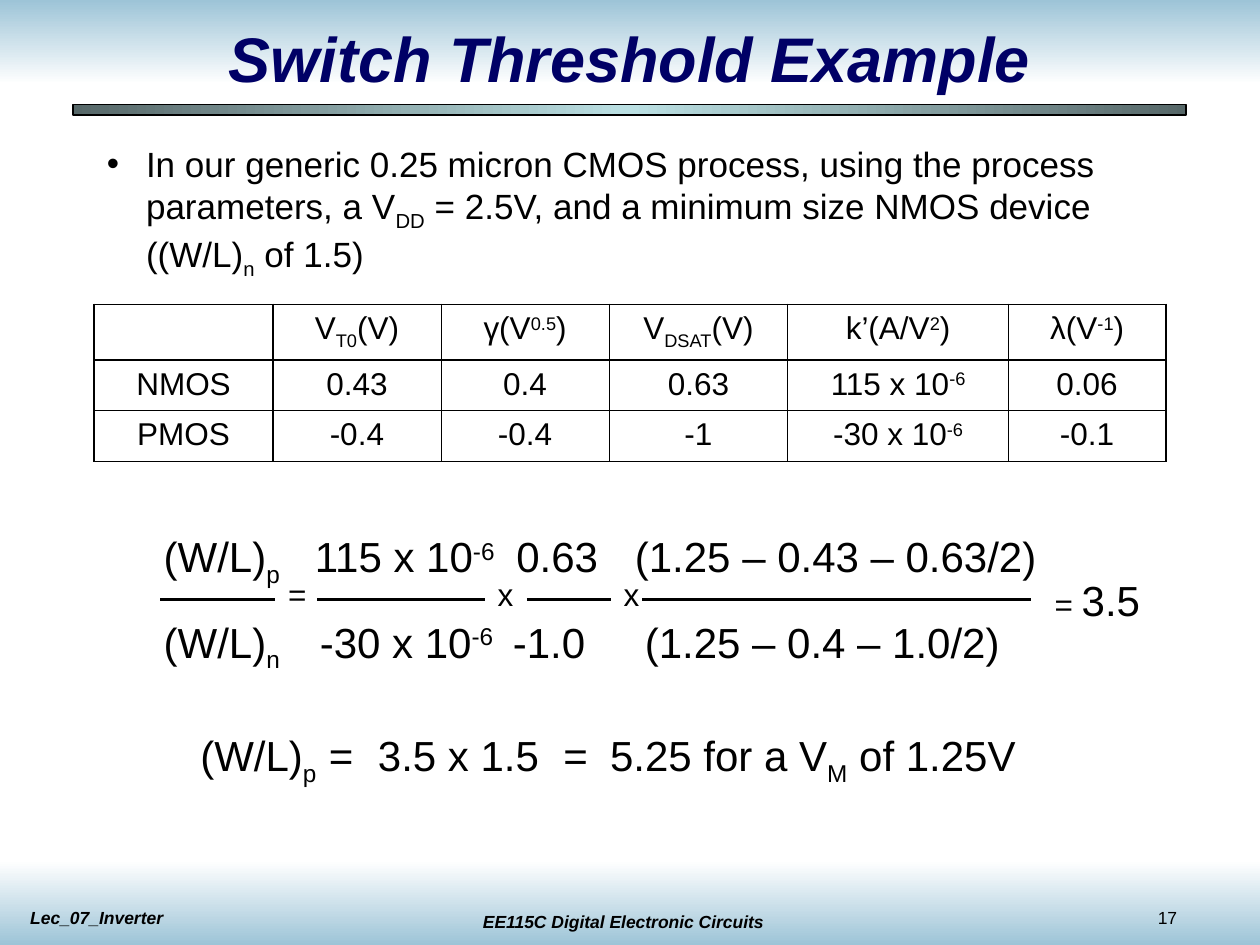
from dataclasses import dataclass
from lxml.etree import SubElement as Sub
from pptx import Presentation as Deck
from pptx.dml.color import RGBColor as Rgb
from pptx.enum.shapes import MSO_CONNECTOR as Link, MSO_SHAPE as Form
from pptx.enum.text import MSO_ANCHOR as Anchor, MSO_AUTO_SIZE as Fit, PP_ALIGN as Align
from pptx.oxml.ns import qn
from pptx.util import Cm, Pt


@dataclass(frozen=True)
class Theme:
    font: str = "Arial"
    ink: str = "000000"
    navy: str = "000066"
    sky: str = "9DC4D7"
    white: str = "FFFFFF"
    slate: str = "566768"
    aqua: str = "BBE0E3"
    head: int = 36
    math: int = 24
    body: int = 20
    cell: int = 18
    foot: int = 10
    thick: float = 1.08
    thin: float = 0.45


T = Theme()

# Runs that open with _ are set low, runs that open with ^ are set high.
TITLE = ["Switch Threshold Example"]
BODY = ["In our generic 0.25 micron CMOS process, using the process parameters, a V",
        "_DD", " = 2.5V, and a minimum size NMOS device ((W/L)", "_n", " of 1.5)"]
TABLE = [
    [[], ["V", "_T0", "(V)"], ["γ(V", "^0.5", ")"], ["V", "_DSAT", "(V)"],
     ["k’(A/V", "^2", ")"], ["λ(V", "^-1", ")"]],
    [["NMOS"], ["0.43"], ["0.4"], ["0.63"], ["115 x 10", "^-6"], ["0.06"]],
    [["PMOS"], ["-0.4"], ["-0.4"], ["-1"], ["-30 x 10", "^-6"], ["-0.1"]],
]
COLS = [3.6, 3.39, 3.39, 3.6, 4.45, 3.17]
ROWS = [1.12, 1.02, 1.02]
RATIO = [
    (["(W/L)", "_p", "\t115 x 10", "^-6", "\t0.63\t(1.25 – 0.43 – 0.63/2)"], [3.05, 7.11, 9.5]),
    (["(W/L)", "_n", "\t-30 x 10", "^-6", "\t-1.0\t(1.25 – 0.4 – 1.0/2)"], [3.15, 7.04, 9.7]),
]
BARS = [(3.23, 5.54), (6.4, 9.78), (10.62, 12.32), (12.95, 20.78)]
BAR_TOP = 12.09
SIGNS = [("=", 5.56), ("x", 9.78), ("x", 12.32)]
RESULT = ["(W/L)", "_p", "\t=\t3.5 x 1.5\t=\t5.25 for a V", "_M", " of 1.25V"]
STOPS = [2.59, 3.58, 7.32, 8.26]
FEET = [("EE115C Digital Electronic Circuits", (8.97, 18.24, 7.19, 0.69), Align.CENTER, True),
        ("17", (23.09, 18.16, 2.1, 0.69), Align.LEFT, False),
        ("Lec_07_Inverter", (0.36, 18.16, 7.19, 0.69), Align.LEFT, True)]
BANDS = [((0, 0, 25.4, 1.7), (T.sky, T.white), 270, False),
         ((0, 17.35, 25.4, 1.7), (T.white, T.sky), 270, False),
         ((1.47, 2.11, 22.44, 0.21), (T.slate, T.aqua, T.slate), 0, True)]
MARKS = {"_": "-25000", "^": "30000"}


def write(para, runs, size, tone=T.ink, bold=False, align=Align.LEFT):
    para.alignment = align
    para.space_before = Pt(0)
    for text in runs:
        shift = MARKS.get(text[0])
        run = para.add_run()
        run.text = text[1:] if shift else text
        font = run.font
        font.name, font.size = T.font, Pt(size)
        font.bold = font.italic = bold
        font.color.rgb = Rgb.from_string(tone)
        if shift:
            run._r.get_or_add_rPr().set("baseline", shift)


def set_tabs(para, stops):
    tabs = Sub(para._p.get_or_add_pPr(), qn("a:tabLst"))
    for stop in stops:
        Sub(tabs, qn("a:tab"), pos=str(Cm(stop)), algn="l")


def add_box(slide, place):
    frame = slide.shapes.add_textbox(*map(Cm, place)).text_frame
    frame.word_wrap = True
    return frame


def add_band(slide, place, tones, angle, edge):
    band = slide.shapes.add_shape(Form.RECTANGLE, *map(Cm, place))
    band.shadow.inherit = False
    band.fill.gradient()
    band.fill.gradient_angle = angle
    stops = band.element.spPr.find(qn("a:gradFill")).find(qn("a:gsLst"))
    for old in list(stops):
        stops.remove(old)
    for i, tone in enumerate(tones):
        stop = Sub(stops, qn("a:gs"), pos=str(100000 * i // (len(tones) - 1)))
        Sub(stop, qn("a:srgbClr"), val=tone)
    if edge:
        band.line.color.rgb = Rgb.from_string(T.ink)
        band.line.width = Pt(0.75)
    else:
        band.line.fill.background()


def fill_holder(shape, place):
    shape.left, shape.top, shape.width, shape.height = map(Cm, place)
    shape.element.getparent().append(shape.element)
    shape.text_frame.auto_size = Fit.NONE
    return shape.text_frame


def rule_cell(cell, row, col):
    last = len(ROWS) - 1, len(COLS) - 1
    heavy = {"L": col < 2, "R": col in (0, last[1]), "T": row < 2, "B": row in (0, last[0])}
    props = cell._tc.get_or_add_tcPr()
    for side, thick in heavy.items():
        line = Sub(props, qn("a:ln" + side), w=str(Pt(T.thick if thick else T.thin)))
        Sub(Sub(line, qn("a:solidFill")), qn("a:srgbClr"), val=T.ink)
    cell.fill.background()


def add_grid(slide):
    grid = slide.shapes.add_table(len(ROWS), len(COLS), Cm(1.9), Cm(6.14),
                                  Cm(sum(COLS)), Cm(sum(ROWS))).table
    grid.first_row = grid.horz_banding = False
    for col, width in zip(grid.columns, COLS):
        col.width = Cm(width)
    for r, cells in enumerate(TABLE):
        grid.rows[r].height = Cm(ROWS[r])
        for c, runs in enumerate(cells):
            cell = grid.cell(r, c)
            rule_cell(cell, r, c)
            write(cell.text_frame.paragraphs[0], runs, T.cell, align=Align.CENTER)


def add_ratio(slide):
    frame = add_box(slide, (3.05, 10.59, 18.62, 3.02))
    for i, (runs, stops) in enumerate(RATIO):
        para = frame.add_paragraph() if i else frame.paragraphs[0]
        set_tabs(para, stops)
        write(para, runs, T.math)
        para.line_spacing = 0.9
        if i:
            para.space_before = Pt(19.5)
    for start, end in BARS:
        bar = slide.shapes.add_connector(Link.STRAIGHT, Cm(start), Cm(BAR_TOP), Cm(end), Cm(BAR_TOP))
        bar.line.color.rgb = Rgb.from_string(T.ink)
        bar.line.width = Pt(1.5)
        Sub(bar.element.spPr, qn("a:effectLst"))
    for sign, left in SIGNS:
        write(add_box(slide, (left, 11.46, 0.86, 1.02)).paragraphs[0], [sign], T.cell)
    para = add_box(slide, (21.01, 11.46, 2.6, 1.27)).paragraphs[0]
    write(para, ["= "], T.cell)
    write(para, ["3.5"], T.math)


def main():
    deck = Deck()
    deck.slide_width, deck.slide_height = Cm(25.4), Cm(19.05)
    slide = deck.slides.add_slide(deck.slide_layouts[1])
    for band in BANDS:
        add_band(slide, *band)
    for text, place, align, bold in FEET:
        write(add_box(slide, place).paragraphs[0], [text], T.foot, bold=bold, align=align)

    head = fill_holder(slide.shapes.title, (1.9, 0.42, 21.59, 1.48))
    head.vertical_anchor = Anchor.MIDDLE
    write(head.paragraphs[0], TITLE, T.head, T.navy, True, Align.CENTER)

    para = fill_holder(slide.placeholders[1], (1.9, 2.75, 21.59, 6.43)).paragraphs[0]
    props = para._p.get_or_add_pPr()
    props.set("marL", str(Cm(0.79)))
    props.set("indent", str(Cm(-0.79)))
    Sub(props, qn("a:buChar"), char="•")
    write(para, BODY, T.body)

    add_grid(slide)
    add_ratio(slide)
    para = add_box(slide, (3.79, 14.6, 17.78, 1.3)).paragraphs[0]
    set_tabs(para, STOPS)
    write(para, RESULT, T.math)
    para.line_spacing = 0.9
    deck.save("out.pptx")


if __name__ == "__main__":
    main()
